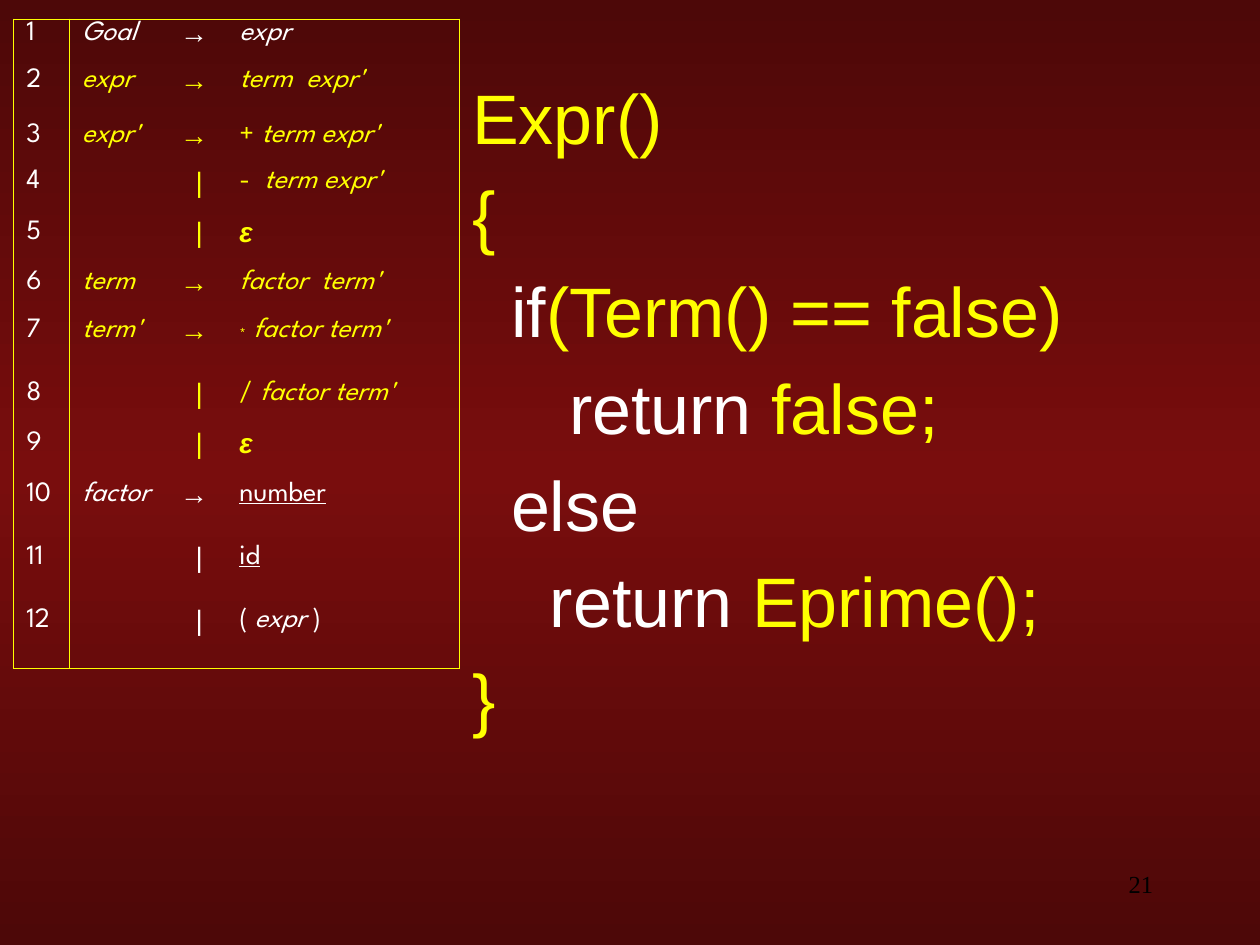
from copy import deepcopy
from dataclasses import dataclass

from lxml import etree
from pptx import Presentation
from pptx import util as u
from pptx.dml.color import RGBColor
from pptx.enum import text
from pptx.oxml.ns import qn


@dataclass(frozen=True)
class Theme:
    edge: str = "4D0808"
    middle: str = "790D0D"
    yellow: str = "FFFF00"
    white: str = "FFFFFF"
    black: str = "000000"
    grammar_font: str = "League Spartan"
    code_font: str = "Arial"
    number_font: str = "Times New Roman"
    grammar_size: float = 16
    code_size: float = 40
    number_size: float = 14
    border: float = 0.45


THEME = Theme()
NO_STYLE = "{2D5ABB26-0587-4C30-8999-92F81FD0307C}"
CELL_INSET = 7.2
BAR_INDENT = 8.9
COLUMNS = (31.7, 56.2, 33.8, 133.2)


@dataclass(frozen=True)
class Piece:
    words: str
    color: str | None = None
    font: str = THEME.grammar_font
    bold: bool = False
    italic: bool = False
    underline: bool = False
    baseline: int = 0


@dataclass(frozen=True)
class Rule:
    """One production; a rule without a head is an alternative."""
    head: str
    body: tuple[Piece, ...]
    color: str
    height: float = 26.6


def symbol(words: str) -> Piece:
    return Piece(words, italic=True)


def token(words: str) -> Piece:
    return Piece(words, underline=True)


Y, W = THEME.yellow, THEME.white
EPSILON = Piece("ε", font=THEME.code_font, bold=True, italic=True)
RULES = (
    Rule("Goal", (symbol("expr"),), W),
    Rule("expr", (symbol("term  expr'"),), Y, 31.5),
    Rule("expr'", (Piece("+"), symbol(" term expr'")), Y),
    Rule("", (Piece("-"), symbol("  term expr'")), Y),
    Rule("", (EPSILON,), Y),
    Rule("term", (symbol("factor  term'"),), Y, 27.2),
    Rule("term'", (Piece("*", baseline=-8), symbol(" factor term'")), Y, 36),
    Rule("", (Piece("∕"), symbol(" factor term'")), Y),
    Rule("", (EPSILON,), Y),
    Rule("factor", (token("number"),), W, 36),
    Rule("", (token("id"),), W, 36),
    Rule("", (Piece("( "), symbol("expr"), Piece(" )")), W, 36),
)

CODE = (
    (("Expr()", Y),),
    (("{", Y),),
    (("  if", W), ("(Term() == false)", Y)),
    (("     return", W), (" false;", Y)),
    (("  else", W),),
    (("    return", W), (" Eprime();", Y)),
    (("}", Y),),
)


def write(paragraph, words: str, *, font: str, size: float, color: str,
          bold: bool = False, italic: bool = False, underline: bool = False,
          baseline: int = 0) -> None:
    """Append a formatted run; baseline is a percentage of the type size."""
    run = paragraph.add_run()
    run.text = words
    run.font.name, run.font.size = font, u.Pt(size)
    run.font.bold, run.font.italic = bold, italic
    run.font.underline = underline
    run.font.color.rgb = RGBColor.from_string(color)
    if baseline:
        run._r.get_or_add_rPr().set("baseline", str(baseline * 1000))


def paint_background(slide) -> None:
    fill = slide.background.fill
    fill.gradient()
    fill.gradient_angle = 90
    stop_list = slide.element.xpath(".//a:gsLst")[0]
    stop_list.append(deepcopy(stop_list[0]))
    colors = (THEME.edge, THEME.middle, THEME.edge)
    for stop, position, color in zip(fill.gradient_stops, (0, 0.5, 1), colors):
        stop.position = position
        stop.color.rgb = RGBColor.from_string(color)


def border_cell(cell, sides: dict[str, bool]) -> None:
    properties = cell._tc.get_or_add_tcPr()
    for side, visible in sides.items():
        line = etree.SubElement(properties, qn(f"a:ln{side}"),
                                w=str(u.Pt(THEME.border)))
        if visible:
            solid = etree.SubElement(line, qn("a:solidFill"))
            etree.SubElement(solid, qn("a:srgbClr"), val=THEME.yellow)
        else:
            etree.SubElement(line, qn("a:noFill"))
    cell.fill.background()


def fill_cell(cell, pieces: tuple[Piece, ...], color: str) -> None:
    paragraph = cell.text_frame.paragraphs[0]
    paragraph.line_spacing = 0.75
    for piece in pieces:
        write(paragraph, piece.words, font=piece.font, size=THEME.grammar_size,
              color=piece.color or color, bold=piece.bold, italic=piece.italic,
              underline=piece.underline, baseline=piece.baseline)


def add_grammar(slide, left: float, top: float) -> None:
    last_row, last_column = len(RULES) - 1, len(COLUMNS) - 1
    table = slide.shapes.add_table(
        len(RULES), len(COLUMNS), u.Pt(left), u.Pt(top), u.Pt(sum(COLUMNS)),
        u.Pt(sum(rule.height for rule in RULES))).table
    table.first_row = table.horz_banding = False
    table._tbl.tblPr.find(qn("a:tableStyleId")).text = NO_STYLE
    for column, width in zip(table.columns, COLUMNS):
        column.width = u.Pt(width)
    for i, rule in enumerate(RULES):
        table.rows[i].height = u.Pt(rule.height)
        if rule.head:
            relation = Piece("→", font=THEME.code_font, bold=True)
        else:
            relation = Piece("|", font=THEME.code_font)
            table.cell(i, 2).margin_left = u.Pt(CELL_INSET + BAR_INDENT)
        head = (symbol(rule.head),) if rule.head else ()
        contents = ((Piece(str(i + 1), W),), head, (relation,), rule.body)
        for j, pieces in enumerate(contents):
            cell = table.cell(i, j)
            fill_cell(cell, pieces, rule.color)
            border_cell(cell, {"L": j < 2, "R": j in (0, last_column),
                               "T": i == 0, "B": i == last_row})


def add_frame(slide, left: float, top: float, width: float, height: float):
    frame = slide.shapes.add_textbox(
        u.Pt(left), u.Pt(top), u.Pt(width), u.Pt(height)).text_frame
    frame.word_wrap = True
    return frame


def add_code(slide) -> None:
    frame = add_frame(slide, 262.8, 44.6, 468, 426.2)
    for i, line in enumerate(CODE):
        paragraph = frame.add_paragraph() if i else frame.paragraphs[0]
        paragraph.line_spacing = 0.9
        paragraph.space_before = u.Pt(12 if i else 0)
        for words, color in line:
            write(paragraph, words, font=THEME.code_font,
                  size=THEME.code_size, color=color)


def add_slide_number(slide) -> None:
    frame = add_frame(slide, 516, 492, 150, 26)
    frame.vertical_anchor = text.MSO_ANCHOR.MIDDLE
    number = frame.paragraphs[0]
    number.alignment = text.PP_ALIGN.RIGHT
    write(number, "21", font=THEME.number_font, size=THEME.number_size,
          color=THEME.black)


def main() -> None:
    deck = Presentation()
    deck.slide_width, deck.slide_height = u.Pt(720), u.Pt(540)
    slide = deck.slides.add_slide(deck.slide_layouts[6])
    paint_background(slide)
    add_code(slide)
    add_grammar(slide, 7.9, 10.8)
    add_slide_number(slide)
    deck.save("out.pptx")


if __name__ == "__main__":
    main()
